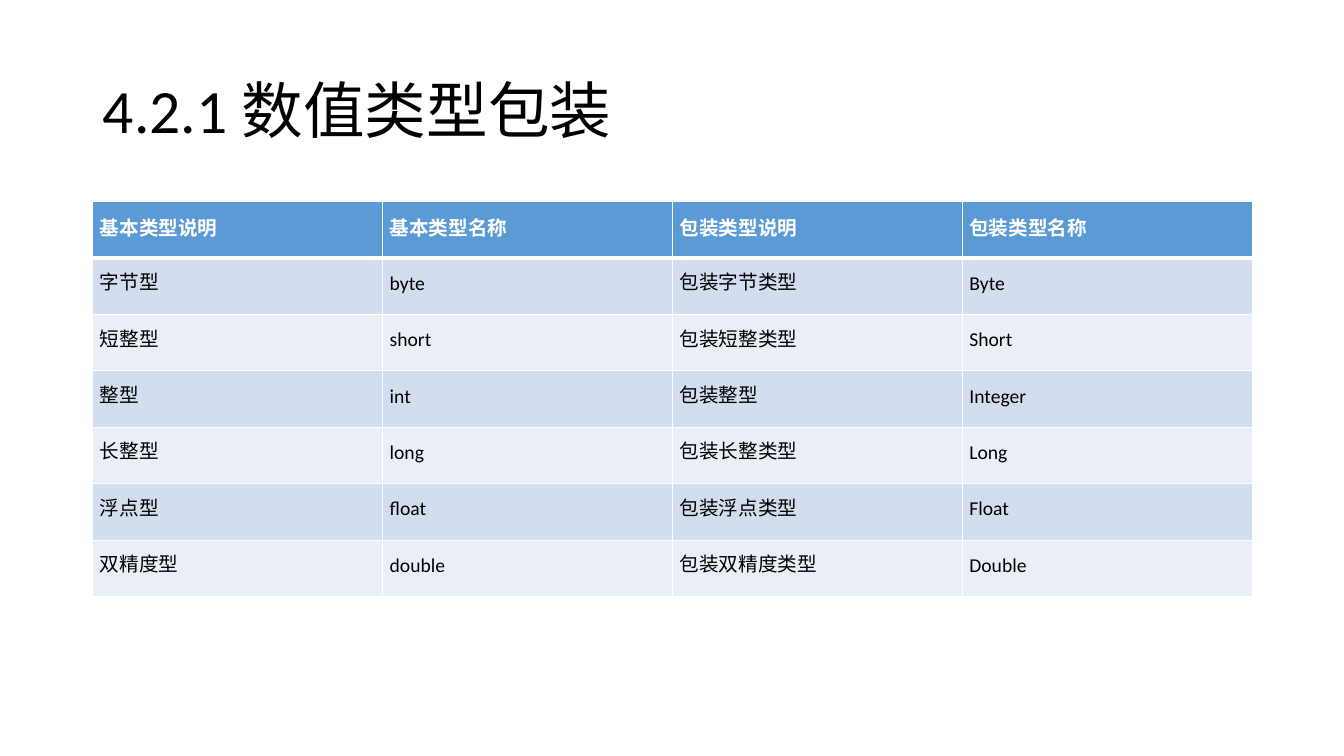
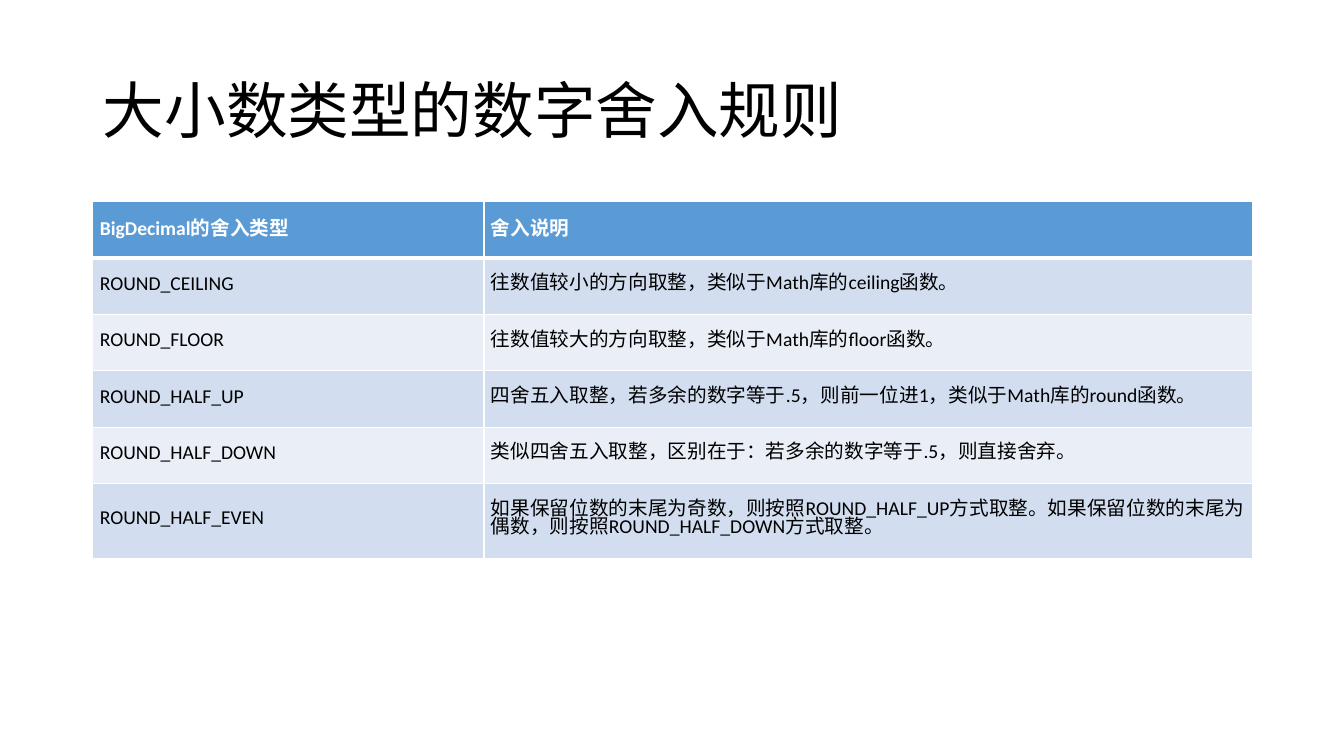
from lxml.etree import SubElement
from pptx import Presentation
from pptx.dml.color import RGBColor
from pptx.enum.text import MSO_ANCHOR as Anchor, PP_ALIGN as Align
from pptx.oxml.ns import qn
from pptx.util import Inches, Pt

WHITE = RGBColor(0xFF, 0xFF, 0xFF)
BLACK = RGBColor(0x00, 0x00, 0x00)
HEADER_BLUE = RGBColor(0x5B, 0x9B, 0xD5)
BANDS = (RGBColor(0xD2, 0xDE, 0xEF), RGBColor(0xEA, 0xEF, 0xF7))
FONT = "Calibri"
TITLE_ONLY = 5

# Boxes are left, top, width, height in inches
MARGIN, CONTENT_WIDTH = 0.92, 11.5
TITLE_BOX = (MARGIN, 0.4, CONTENT_WIDTH, 1.45)
TABLE_LEFT_TOP = (MARGIN, 2)
ROW_HEIGHT, TALL_ROW_HEIGHT = 0.56, 0.74

WRAPPER_TYPES = [
    ("基本类型说明", "基本类型名称", "包装类型说明", "包装类型名称"),
    ("字节型", "byte", "包装字节类型", "Byte"),
    ("短整型", "short", "包装短整类型", "Short"),
    ("整型", "int", "包装整型", "Integer"),
    ("长整型", "long", "包装长整类型", "Long"),
    ("浮点型", "float", "包装浮点类型", "Float"),
    ("双精度型", "double", "包装双精度类型", "Double"),
]
ROUNDING_RULES = [
    ("BigDecimal的舍入类型", "舍入说明"),
    ("ROUND_CEILING", "往数值较小的方向取整，类似于Math库的ceiling函数。"),
    ("ROUND_FLOOR", "往数值较大的方向取整，类似于Math库的floor函数。"),
    ("ROUND_HALF_UP",
     "四舍五入取整，若多余的数字等于.5，则前一位进1，类似于Math库的round函数。"),
    ("ROUND_HALF_DOWN",
     "类似四舍五入取整，区别在于：若多余的数字等于.5，则直接舍弃。"),
    ("ROUND_HALF_EVEN",
     "如果保留位数的末尾为奇数，则按照ROUND_HALF_UP方式取整。"
     "如果保留位数的末尾为偶数，则按照ROUND_HALF_DOWN方式取整。"),
]


def write(paragraph, text, size, color, bold=False):
    """Add one formatted run to a paragraph."""
    run = paragraph.add_run()
    run.text = text
    font = run.font
    font.name, font.size, font.bold = FONT, Pt(size), bold
    font.color.rgb = color


def place_title(slide, text, box):
    """Move the title placeholder into the box and fill it."""
    title = slide.shapes.title
    title.left, title.top, title.width, title.height = map(Inches, box)
    frame = title.text_frame
    frame.vertical_anchor = Anchor.MIDDLE
    heading = frame.paragraphs[0]
    heading.alignment, heading.line_spacing = Align.LEFT, 0.9
    write(heading, text, 44, BLACK)


def rule_cell(cell, bottom_width):
    """Draw white borders around a cell, with its own bottom width."""
    properties = cell._tc.get_or_add_tcPr()
    for side, width in (("L", 1), ("R", 1), ("T", 1), ("B", bottom_width)):
        line = SubElement(properties, qn(f"a:ln{side}"), w=str(Pt(width)))
        fill = SubElement(line, qn("a:solidFill"))
        SubElement(fill, qn("a:srgbClr"), val=str(WHITE))


def format_cell(cell, text, row, top_width_below_header=3):
    """Style a header cell (row 0) or a banded body cell."""
    header = row == 0
    rule_cell(cell, top_width_below_header if header else 1)
    cell.fill.solid()
    cell.fill.fore_color.rgb = HEADER_BLUE if header else BANDS[(row - 1) % 2]
    cell.vertical_anchor = Anchor.MIDDLE
    cell.margin_left = cell.margin_right = Inches(0.07)
    cell.margin_top = cell.margin_bottom = 0
    paragraph = cell.text_frame.paragraphs[0]
    paragraph.alignment = Align.JUSTIFY if header else Align.LEFT
    paragraph.line_spacing = Pt(15.6 if header else 13)
    write(paragraph, text, 14, WHITE if header else BLACK, header)


def place_table(slide, records, column_widths, row_heights, left_top):
    """Build a banded table from its records, starting at left_top."""
    box = (*left_top, sum(column_widths), sum(row_heights))
    table = slide.shapes.add_table(
        len(records), len(column_widths), *map(Inches, box)).table
    table.horz_banding = False
    for column, width in zip(table.columns, column_widths):
        column.width = Inches(width)
    for row, height in zip(table.rows, row_heights):
        row.height = Inches(height)
    for row, record in enumerate(records):
        for column, text in enumerate(record):
            format_cell(table.cell(row, column), text, row)


def add_table_slide(deck, title, records, column_widths, row_heights):
    """Add a slide made of a title above a table."""
    slide = deck.slides.add_slide(deck.slide_layouts[TITLE_ONLY])
    place_title(slide, title, TITLE_BOX)
    place_table(slide, records, column_widths, row_heights, TABLE_LEFT_TOP)


def main():
    """Build and save the deck."""
    deck = Presentation()
    deck.slide_width, deck.slide_height = Inches(13.33), Inches(7.5)
    add_table_slide(deck, "4.2.1 数值类型包装", WRAPPER_TYPES,
                    [CONTENT_WIDTH / 4] * 4, [ROW_HEIGHT] * 7)
    add_table_slide(deck, "大小数类型的数字舍入规则", ROUNDING_RULES,
                    [3.88, CONTENT_WIDTH - 3.88],
                    [ROW_HEIGHT] * 5 + [TALL_ROW_HEIGHT])
    deck.save("out.pptx")


main()
